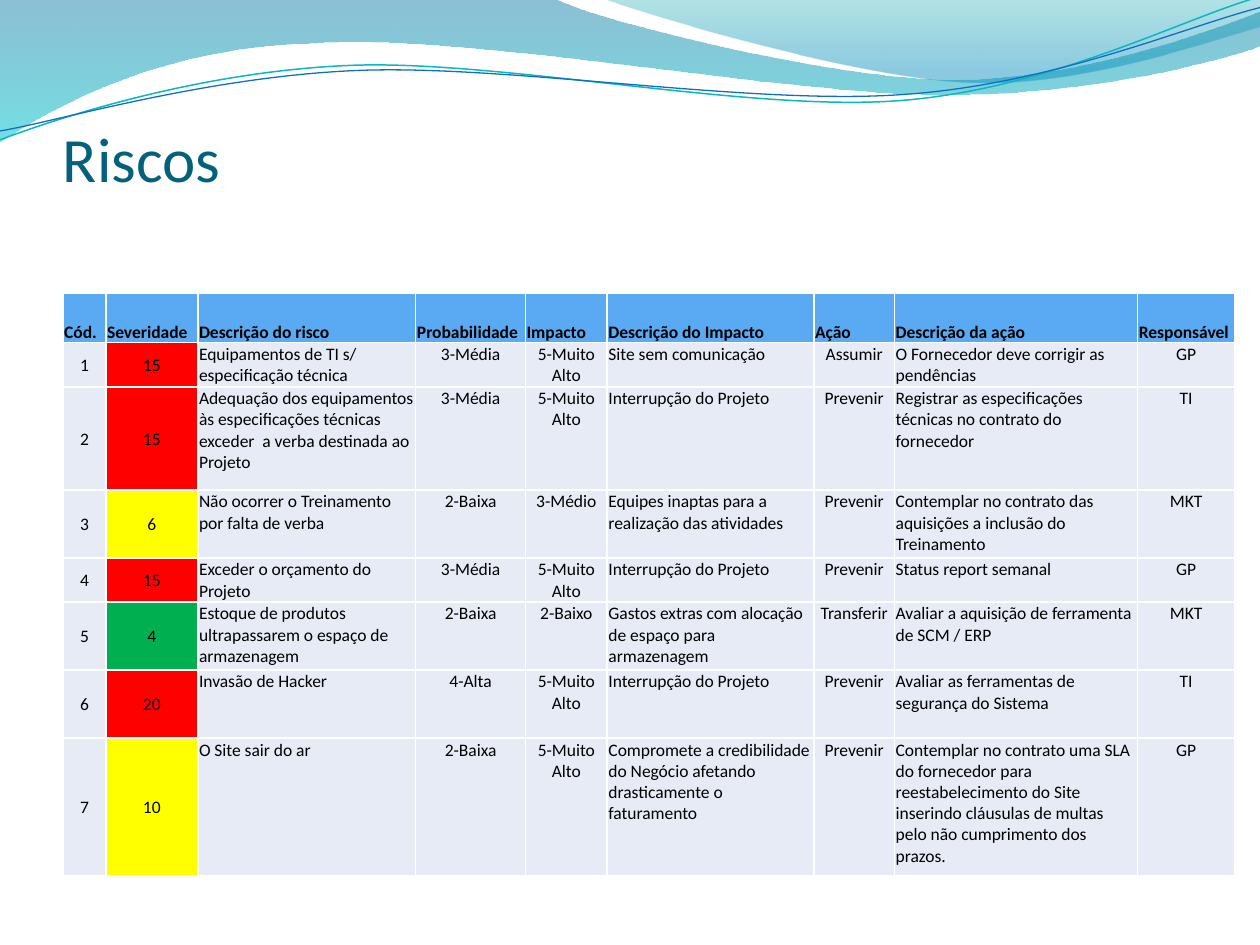
from lxml.etree import SubElement
from pptx import Presentation
from pptx.dml.color import RGBColor
from pptx.enum.text import MSO_ANCHOR as Anchor, PP_ALIGN as Align
from pptx.oxml.ns import qn
from pptx.util import Emu, Inches, Pt

WHITE = RGBColor(0xFF, 0xFF, 0xFF)
BLACK = RGBColor(0x00, 0x00, 0x00)
TITLE_BLUE = RGBColor(0x04, 0x61, 0x7B)
HEADER_BLUE = RGBColor(0x59, 0xAA, 0xF2)
CELL_GREY = RGBColor(0xE7, 0xEB, 0xF5)
RED = RGBColor(0xFF, 0x00, 0x00)
YELLOW = RGBColor(0xFF, 0xFF, 0x00)
GREEN = RGBColor(0x00, 0xB0, 0x50)
DEEP_BLUE = RGBColor(0x00, 0x74, 0xA1)
CYAN = RGBColor(0x00, 0xC6, 0xCF)
TEAL = RGBColor(0x00, 0xA1, 0xA9)
SKY_BLUE = RGBColor(0x00, 0x8B, 0xBF)
LINE_TEAL = RGBColor(0x0A, 0xB8, 0xBF)
LINE_BLUE = RGBColor(0x0F, 0x6F, 0xC6)

# The slide is a grid of 10 columns by 7.5 rows
GRID_COLUMNS, GRID_ROWS = 10, 7.5

# Wave outlines: a pair is a straight step, six numbers are a Bézier curve
BACK_WAVE = [
    (0, 0), (4.4, -0.01), (4.76, 0.17, 6.64, 0.63, 7.58, 0.63),
    (8.53, 0.63, 9.58, 0.26, 10, 0.09), (10.01, 0.36),
    (9.83, 0.44, 8.7, 0.76, 7.46, 0.75), (6.22, 0.75, 3.82, 0.28, 2.57, 0.34),
    (1.29, 0.36, 0.46, 0.83, -0.01, 1.13), (0, 0),
]
FRONT_WAVE = [
    (4.79, -0.01), (5.09, 0.11, 6.82, 0.62, 7.69, 0.65),
    (8.56, 0.69, 9.61, 0.32, 10, 0.21), (10, 0), (4.79, -0.01),
]
TEAL_CURVE = [
    (0, 1.11), (0.48, 0.93, 1.58, 0.57, 2.77, 0.52),
    (3.95, 0.47, 5.93, 0.89, 7.13, 0.8), (8.33, 0.71, 9.38, 0.15, 9.98, -0.02),
]
BLUE_CURVE = [
    (0, 1.04), (0.47, 0.96, 1.64, 0.61, 2.83, 0.56),
    (4.03, 0.51, 5.97, 0.84, 7.17, 0.75), (8.36, 0.67, 9.41, 0.21, 10, 0.06),
]

HEADERS = ["Cód.", "Severidade", "Descrição do risco", "Probabilidade", "Impacto",
           "Descrição do Impacto", "Ação", "Descrição da ação", "Responsável"]
RISKS = [
    (15, "Equipamentos de TI s/ especificação técnica", "3-Média", "5-Muito Alto",
     "Site sem comunicação", "Assumir", "O Fornecedor deve corrigir as pendências", "GP"),
    (15, "Adequação dos equipamentos às especificações técnicas exceder  a verba "
     "destinada ao Projeto", "3-Média", "5-Muito Alto", "Interrupção do Projeto", "Prevenir",
     "Registrar as especificações técnicas no contrato do fornecedor", "TI"),
    (6, "Não ocorrer o Treinamento por falta de verba", "2-Baixa", "3-Médio",
     "Equipes inaptas para a realização das atividades", "Prevenir",
     "Contemplar no contrato das aquisições a inclusão do Treinamento", "MKT"),
    (15, "Exceder o orçamento do Projeto", "3-Média", "5-Muito Alto",
     "Interrupção do Projeto", "Prevenir", "Status report semanal", "GP"),
    (4, "Estoque de produtos ultrapassarem o espaço de armazenagem", "2-Baixa", "2-Baixo",
     "Gastos extras com alocação de espaço para armazenagem", "Transferir",
     "Avaliar a aquisição de ferramenta de SCM / ERP", "MKT"),
    (20, "Invasão de Hacker", "4-Alta", "5-Muito Alto", "Interrupção do Projeto",
     "Prevenir", "Avaliar as ferramentas de segurança do Sistema", "TI"),
    (10, "O Site sair do ar", "2-Baixa", "5-Muito Alto",
     "Compromete a credibilidade do Negócio afetando drasticamente o faturamento", "Prevenir",
     "Contemplar no contrato uma SLA do fornecedor para reestabelecimento do Site "
     "inserindo cláusulas de multas pelo não cumprimento dos prazos.", "GP"),
]
COLUMN_WIDTHS = [0.34, 0.73, 1.73, 0.87, 0.65, 1.64, 0.64, 1.93, 0.77]
ROW_HEIGHTS = [0.39, 0.35, 0.82, 0.54, 0.35, 0.54, 0.54, 1.09]
SEVERITY_COLUMN = 1
DESCRIPTION_COLUMNS = (2, 5, 7)


def severity_color(severity):
    return RED if severity >= 15 else YELLOW if severity >= 6 else GREEN


class SlideBuilder:
    font_name = "Calibri"

    def __init__(self, presentation):
        self.slide = presentation.slides.add_slide(presentation.slide_layouts[6])
        self.column = presentation.slide_width / GRID_COLUMNS
        self.row = presentation.slide_height / GRID_ROWS

    def across(self, columns):
        return Emu(round(columns * self.column))

    def down(self, rows):
        return Emu(round(rows * self.row))

    def area(self, left, top, width, height):
        return self.across(left), self.down(top), self.across(width), self.down(height)

    def style(self, paragraph, size, color, bold=False, align=Align.LEFT):
        paragraph.alignment = align
        font = paragraph.font
        font.name, font.size, font.bold = self.font_name, Pt(size), bold
        font.color.rgb = color

    def freeform(self, outline, close):
        points = [(self.across(x), self.down(y)) for step in outline
                  for x, y in zip(step[::2], step[1::2])]
        builder = self.slide.shapes.build_freeform(*points[0])
        builder.add_line_segments(points[1:], close=close)
        shape = builder.convert_to_shape()
        shape.shadow.inherit = False
        # Join the three points of each curved step into one Bézier segment
        segments = iter(list(shape._element.iter(qn("a:lnTo"))))
        for step in outline[1:]:
            first = next(segments)
            if len(step) == 6:
                first.tag = qn("a:cubicBezTo")
                for _ in range(2):
                    extra = next(segments)
                    first.append(extra[0])
                    extra.getparent().remove(extra)
        return shape

    def wave(self, outline, stops):
        """Filled wave; each stop is (position, colour, opacity in percent)."""
        shape = self.freeform(outline, close=True)
        shape.line.fill.background()
        shape.fill.gradient()
        shape.fill.gradient_angle = 270
        for stop, (position, color, _) in zip(shape.fill.gradient_stops, stops):
            stop.position = position
            stop.color.rgb = color
        colors = shape._element.spPr.find(qn("a:gradFill")).iter(qn("a:srgbClr"))
        for element, (_, _, opacity) in zip(list(colors), stops):
            SubElement(element, qn("a:alpha"), val=str(opacity * 1000))

    def curve(self, outline, color, width):
        shape = self.freeform(outline, close=False)
        shape.fill.background()
        shape.line.color.rgb = color
        shape.line.width = Pt(width)

    def title(self, text, *place):
        frame = self.slide.shapes.add_textbox(*self.area(*place)).text_frame
        frame.word_wrap = True
        frame.vertical_anchor = Anchor.BOTTOM
        frame.margin_left = frame.margin_right = frame.margin_bottom = 0
        frame.margin_top = Inches(0.05)
        frame.text = text
        self.style(frame.paragraphs[0], 36, TITLE_BLUE)

    def cell(self, cell, text, fill, anchor, **style):
        cell.text = text
        cell.vertical_anchor = anchor
        cell.margin_left = cell.margin_right = cell.margin_top = Inches(0.01)
        cell.margin_bottom = 0
        self.style(cell.text_frame.paragraphs[0], 10, BLACK, **style)
        properties = cell._tc.get_or_add_tcPr()
        for side in ("lnL", "lnR", "lnT", "lnB"):
            border = SubElement(properties, qn(f"a:{side}"), w=str(Pt(1)))
            SubElement(SubElement(border, qn("a:solidFill")), qn("a:srgbClr"), val=str(WHITE))
        cell.fill.solid()
        cell.fill.fore_color.rgb = fill

    def risk_table(self, left, top):
        place = self.area(left, top, sum(COLUMN_WIDTHS), sum(ROW_HEIGHTS))
        table = self.slide.shapes.add_table(len(RISKS) + 1, len(HEADERS), *place).table
        for column, width in zip(table.columns, COLUMN_WIDTHS):
            column.width = self.across(width)
        for row, height in zip(table.rows, ROW_HEIGHTS):
            row.height = self.down(height)
        for column, header in enumerate(HEADERS):
            self.cell(table.cell(0, column), header, HEADER_BLUE, Anchor.BOTTOM, bold=True)
        for code, risk in enumerate(RISKS, start=1):
            for column, value in enumerate((code, *risk)):
                fill = severity_color(value) if column == SEVERITY_COLUMN else CELL_GREY
                anchor = Anchor.MIDDLE if column <= SEVERITY_COLUMN else Anchor.TOP
                align = Align.LEFT if column in DESCRIPTION_COLUMNS else Align.CENTER
                self.cell(table.cell(code, column), str(value), fill, anchor, align=align)


def main():
    presentation = Presentation()
    presentation.slide_width, presentation.slide_height = Inches(10), Inches(7.5)
    builder = SlideBuilder(presentation)

    # Wave decoration
    builder.wave(BACK_WAVE, [(0, DEEP_BLUE, 45), (1, CYAN, 55)])
    builder.wave(FRONT_WAVE, [(0, TEAL, 30), (0.8, SKY_BLUE, 45)])
    builder.curve(TEAL_CURVE, LINE_TEAL, 0.85)
    builder.curve(BLUE_CURVE, LINE_BLUE, 0.75)

    # Title and risk table
    builder.title("Riscos", 0.5, 0.77, 9, 0.78)
    builder.risk_table(0.5, 2.33)

    presentation.save("out.pptx")


if __name__ == "__main__":
    main()
